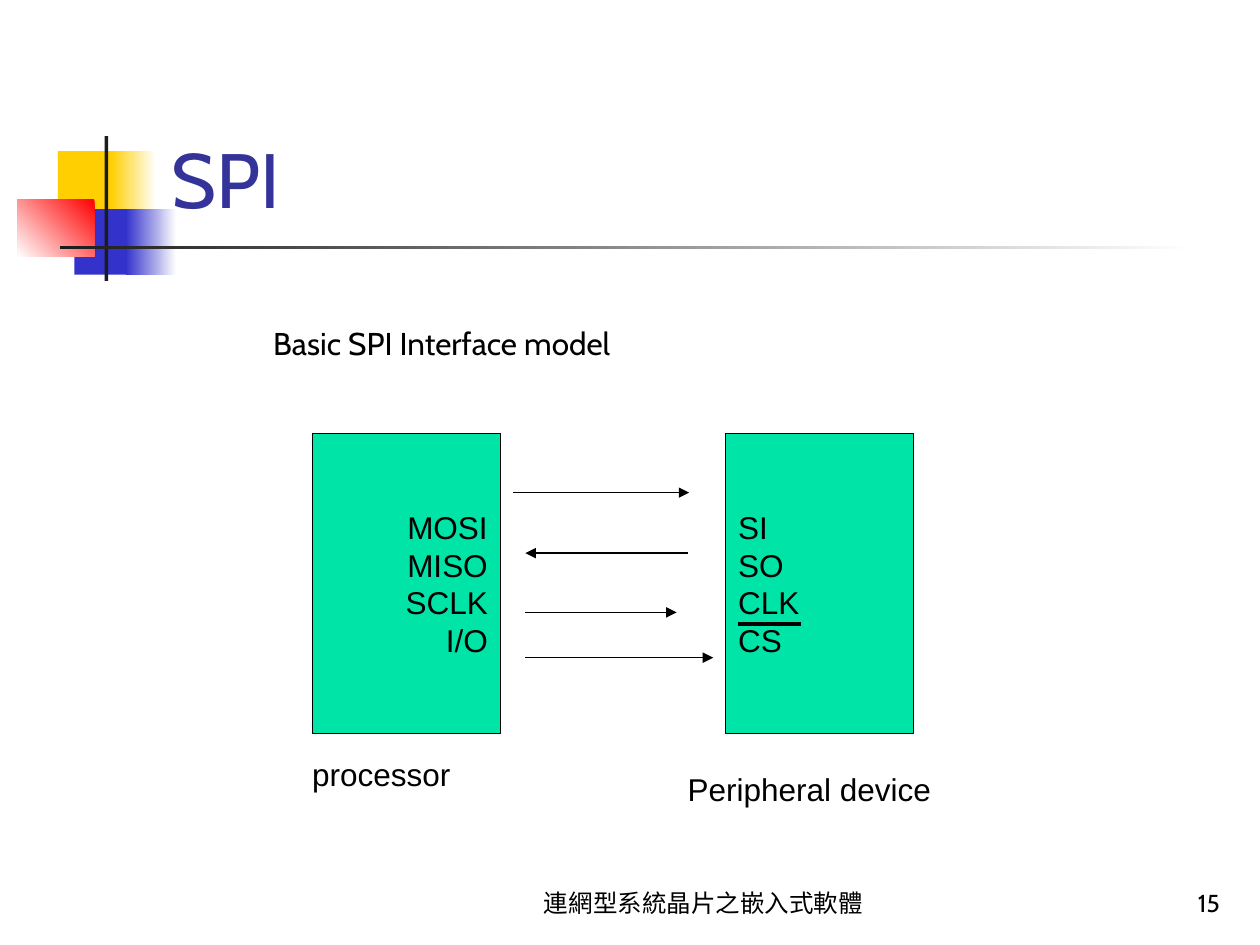
from dataclasses import dataclass

from lxml.etree import SubElement
from pptx import Presentation
from pptx.dml.color import RGBColor
from pptx.enum.shapes import MSO_CONNECTOR as Connector, MSO_SHAPE as Shape
from pptx.enum.text import MSO_ANCHOR as Anchor, PP_ALIGN as Align
from pptx.oxml.ns import qn
from pptx.util import Inches, Pt


@dataclass(frozen=True)
class Theme:
    yellow: str = "FFCF01"
    blue: str = "3333CC"
    red: str = "FF0000"
    white: str = "FFFFFF"
    rule: str = "1C1C1C"
    title: str = "333399"
    block: str = "00E4A8"
    ink: str = "000000"
    heading_font: str = "Cabin"
    body_font: str = "Arial"
    title_size: int = 44
    body_size: int = 18
    footer_size: int = 14
    thin: float = 0.75
    thick: float = 2.25


THEME = Theme()


def rgb(value):
    return RGBColor.from_string(value)


def write(frame, lines, font=THEME.body_font, size=THEME.body_size,
          color=THEME.ink, align=Align.LEFT, anchor=Anchor.TOP, wrap=False):
    frame.word_wrap = wrap
    frame.vertical_anchor = anchor
    frame.text = "\n".join(lines)
    for paragraph in frame.paragraphs:
        paragraph.alignment = align
        for name, value in {"name": font, "size": Pt(size)}.items():
            setattr(paragraph.font, name, value)
        paragraph.font.color.rgb = rgb(color)


def add_text(slide, bounds, text, **text_format):
    box = slide.shapes.add_textbox(*map(Inches, bounds))
    write(box.text_frame, [text], **text_format)


def add_rectangle(slide, bounds, fill):
    rectangle = slide.shapes.add_shape(Shape.RECTANGLE, *map(Inches, bounds))
    rectangle.shadow.inherit = False
    rectangle.fill.solid()
    rectangle.fill.fore_color.rgb = rgb(fill)
    rectangle.line.fill.background()
    return rectangle


def add_fade(slide, bounds, start, end, angle=180):
    """Add a rectangle that blends two colours; the angle is counter-clockwise."""
    rectangle = add_rectangle(slide, bounds, start)
    rectangle.fill.gradient()
    rectangle.fill.gradient_angle = angle
    for stop, color, position in zip(rectangle.fill.gradient_stops, (start, end), (0, 1)):
        stop.color.rgb = rgb(color)
        stop.position = position


def add_block(slide, bounds, pins, align):
    block = add_rectangle(slide, bounds, THEME.block)
    block.line.color.rgb = rgb(THEME.ink)
    block.line.width = Pt(THEME.thin)
    write(block.text_frame, pins, align=align, anchor=Anchor.MIDDLE)


def add_line(slide, x1, x2, y, width=THEME.thin, arrow=False):
    line = slide.shapes.add_connector(
        Connector.STRAIGHT, *map(Inches, (x1, y, x2, y)))
    line.line.color.rgb = rgb(THEME.ink)
    line.line.width = Pt(width)
    if arrow:
        SubElement(line.line._get_or_add_ln(), qn("a:tailEnd"), type="triangle")
    SubElement(line._element.spPr, qn("a:effectLst"))


def add_ornament(slide):
    add_rectangle(slide, (0.46, 1.2, 0.48, 0.52), THEME.yellow)
    add_fade(slide, (0.88, 1.2, 0.36, 0.52), THEME.white, THEME.yellow)
    add_rectangle(slide, (0.59, 1.66, 0.46, 0.52), THEME.blue)
    add_fade(slide, (1, 1.66, 0.4, 0.52), THEME.white, THEME.blue)
    add_fade(slide, (0.14, 1.58, 0.61, 0.46), THEME.red, THEME.white, angle=225)
    add_rectangle(slide, (0.83, 1.08, 0.03, 1.15), THEME.rule)
    add_fade(slide, (0.48, 1.95, 9, 0.03), THEME.white, THEME.rule)


def add_interface(slide):
    block_top, block_width, block_height = 3.44, 1.49, 2.38
    blocks = (
        (2.48, ("MOSI", "MISO", "SCLK", "I/O"), Align.RIGHT),
        (5.76, ("SI", "SO", "CLK", "CS"), Align.LEFT),
    )
    for left, pins, align in blocks:
        add_block(slide, (left, block_top, block_width, block_height), pins, align)

    signals = ((4.07, 5.47, 3.91), (5.46, 4.17, 4.39),
               (4.17, 5.37, 4.86), (4.17, 5.66, 5.22))
    for start, end, y in signals:
        add_line(slide, start, end, y, arrow=True)
    # The bar over CS marks it as active low
    add_line(slide, 5.86, 6.36, 4.95, width=THEME.thick)

    add_text(slide, (2.38, 5.94, 1.3, 0.4), "processor")
    add_text(slide, (5.36, 6.06, 2.13, 0.4), "Peripheral device")


def add_footer(slide):
    footer = {"font": THEME.heading_font, "size": THEME.footer_size,
              "anchor": Anchor.BOTTOM, "wrap": True}
    add_text(slide, (4, 6.83, 3.17, 0.5), "連網型系統晶片之嵌入式軟體",
             align=Align.CENTER, **footer)
    add_text(slide, (7.7, 6.83, 2.08, 0.5), "15", align=Align.RIGHT, **footer)


def main():
    deck = Presentation()
    deck.slide_width, deck.slide_height = Inches(10), Inches(7.5)
    slide = deck.slides.add_slide(deck.slide_layouts[6])

    add_ornament(slide)
    add_text(slide, (1.26, 0.23, 8.52, 1.6), "SPI", font=THEME.heading_font,
             size=THEME.title_size, color=THEME.title, anchor=Anchor.BOTTOM, wrap=True)
    add_text(slide, (2.07, 2.52, 3.24, 0.4), "Basic SPI Interface model",
             font=THEME.heading_font)
    add_interface(slide)
    add_footer(slide)

    deck.save("out.pptx")


if __name__ == "__main__":
    main()
